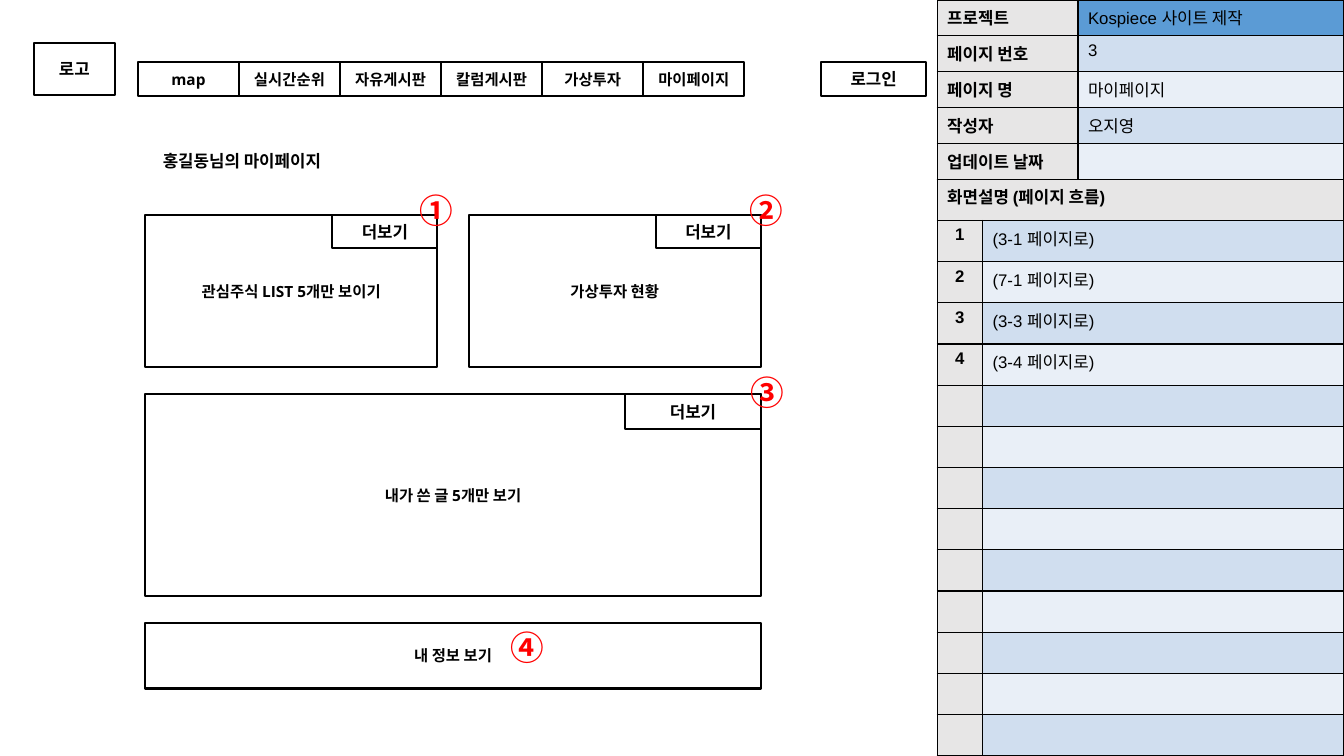
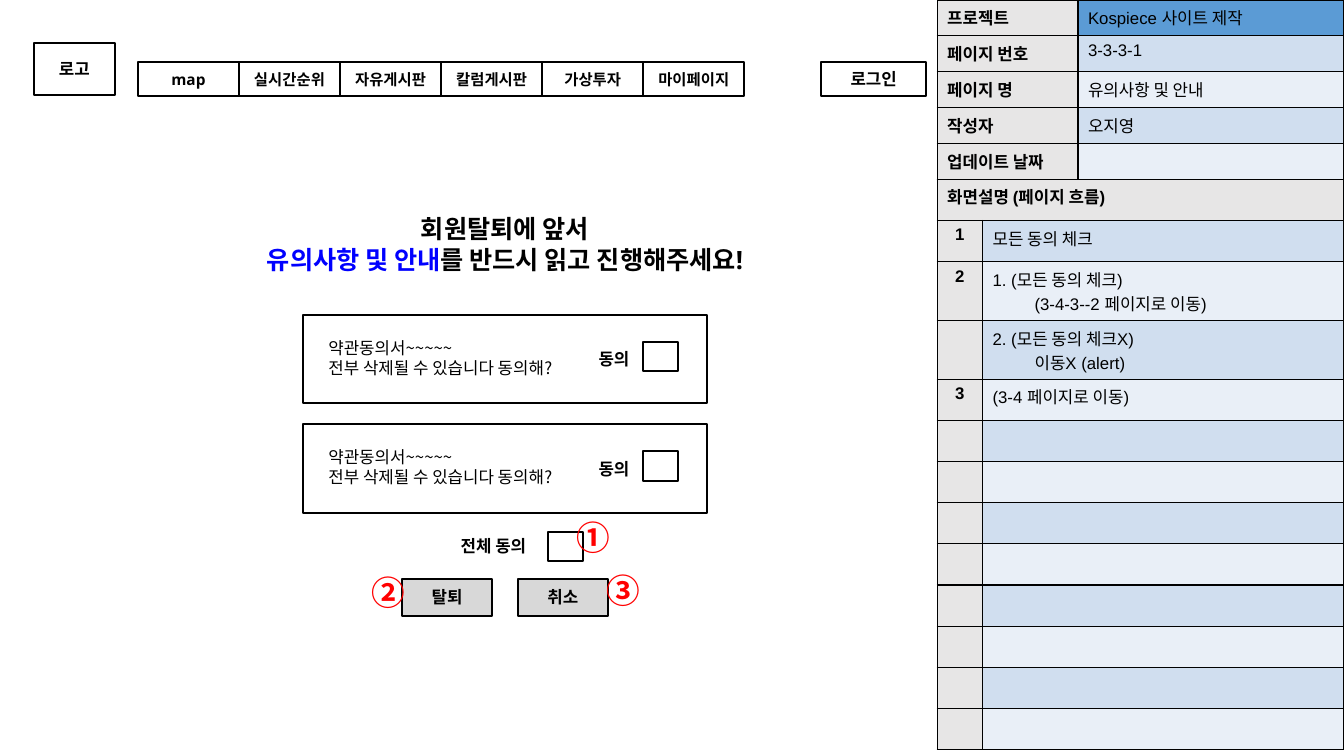
from dataclasses import dataclass
from typing import NamedTuple

from lxml.etree import SubElement
from pptx import Presentation
from pptx.dml.color import RGBColor
from pptx.enum.shapes import MSO_SHAPE as SHAPE
from pptx.enum.text import MSO_ANCHOR as ANCHOR, PP_ALIGN as ALIGN
from pptx.oxml.ns import qn
from pptx.util import Pt


@dataclass(frozen=True)
class Theme:
    black: str = "000000"
    red: str = "FF0000"
    blue: str = "0000FF"
    button: str = "D8D8D8"
    label: str = "E7E6E6"
    accent: str = "5B9BD5"
    bands: tuple[str, str] = ("E9EFF7", "D0DEEF")
    ui_font: str = "Open Sans"
    table_font: str = "Arial"
    korean_font: str = "Noto Sans CJK KR"
    small: float = 11
    body: float = 12
    heading: float = 18
    marker: float = 24


T = Theme()


class Rect(NamedTuple):
    x: float
    y: float
    w: float
    h: float


class Box(NamedTuple):
    rect: Rect
    text: str = ""
    size: float = T.body
    fill: str = ""


class Marker(NamedTuple):
    text: str
    x: float
    y: float


class Step(NamedTuple):
    number: str = ""
    text: str = ""
    detail: str = ""


class Page(NamedTuple):
    number: str
    name: str
    steps: list[Step]
    row_count: int


PANEL_X, PANEL_W = 669.4, 290.6
INFO_ROW, STEP_ROW, DETAIL_ROW = 25.63, 29.42, 42
DETAIL_INDENT = 30


# Text
def style(p, size: float, font: str, bold: bool = False, color: str = T.black,
          align: ALIGN = ALIGN.LEFT, spacing: float = 0) -> None:
    p.alignment = align
    if spacing:
        p.line_spacing = Pt(spacing)
    p.font.size, p.font.name, p.font.bold = Pt(size), font, bold
    p.font.color.rgb = RGBColor.from_string(color)
    default = p._p.pPr.find(qn("a:defRPr"))
    SubElement(default, qn("a:ea"), typeface=T.korean_font)


def set_insets(tf, side: float, top: float) -> None:
    tf.margin_left = tf.margin_right = Pt(side)
    tf.margin_top = tf.margin_bottom = Pt(top)
    tf.word_wrap = True


def add_text(s, rect: Rect, lines: list[str], top_inset: float = 3.6,
             anchor: ANCHOR = ANCHOR.TOP, **look):
    tf = s.shapes.add_textbox(*map(Pt, rect)).text_frame
    set_insets(tf, 7.2, top_inset)
    tf.vertical_anchor = anchor
    for i, line in enumerate(lines):
        p = tf.add_paragraph() if i else tf.paragraphs[0]
        p.text = line
        style(p, **look)
    return tf


def add_caption(s, rect: Rect, lines: list[str], size: float = T.body,
                spacing: float = 0):
    return add_text(s, rect, lines, 7.2, ANCHOR.MIDDLE, size=size,
                    font=T.ui_font, bold=True, align=ALIGN.CENTER,
                    spacing=spacing)


def add_markers(s, markers: list[Marker]) -> None:
    for m in markers:
        add_text(s, Rect(m.x, m.y, 43.2, 36), [m.text], size=T.marker,
                 font=T.korean_font, bold=True, color=T.red, spacing=28.8)


# Wireframe boxes
def add_boxes(s, boxes: list[Box]) -> None:
    for box in boxes:
        sp = s.shapes.add_shape(SHAPE.RECTANGLE, *map(Pt, box.rect))
        sp.shadow.inherit = False
        if box.fill:
            sp.fill.solid()
            sp.fill.fore_color.rgb = RGBColor.from_string(box.fill)
        else:
            sp.fill.background()
        sp.line.color.rgb = RGBColor.from_string(T.black)
        sp.line.width = Pt(1.5)
        if box.text:
            tf = sp.text_frame
            set_insets(tf, 7.2, 7.2)
            tf.vertical_anchor = ANCHOR.MIDDLE
            p = tf.paragraphs[0]
            p.text = box.text
            style(p, box.size, T.ui_font, True, align=ALIGN.CENTER)


def add_site_header(s) -> None:
    menu = ["map", "실시간순위", "자유게시판", "칼럼게시판", "가상투자", "마이페이지"]
    add_boxes(s, [Box(Rect(24, 30.7, 58.2, 37.4), "로고"),
                  Box(Rect(586.6, 44.6, 75, 23.8), "로그인")])
    add_boxes(s, [Box(Rect(98.5 + i * 72.2, 44.6, 72.2, 23.8), name, T.small)
                  for i, name in enumerate(menu)])


# Description tables
def fill_cell(cell, text: str, fill: str, bold: bool = False,
              align: ALIGN = ALIGN.LEFT, detail: str = "") -> None:
    cell.fill.solid()
    cell.fill.fore_color.rgb = RGBColor.from_string(fill)
    tf = cell.text_frame
    tf.text = text
    if detail:
        p = tf.add_paragraph()
        p.text = detail
        p._p.get_or_add_pPr().set("marL", str(Pt(DETAIL_INDENT)))
    for p in tf.paragraphs:
        style(p, T.body, T.table_font, bold, align=align)
    if not text:
        SubElement(tf.paragraphs[0]._p, qn("a:endParaRPr"), sz=str(int(T.body * 100)))
    # Borders precede the fill in the cell properties
    tc_pr = cell._tc.get_or_add_tcPr()
    for i, side in enumerate(("lnL", "lnR", "lnT", "lnB")):
        ln = SubElement(tc_pr, qn(f"a:{side}"), w=str(Pt(1)))
        SubElement(SubElement(ln, qn("a:solidFill")), qn("a:srgbClr"), val=T.black)
        tc_pr.insert(i, ln)


def add_grid(s, y: float, heights: list[float], label_w: float):
    rect = Rect(PANEL_X, y, PANEL_W, sum(heights))
    table = s.shapes.add_table(len(heights), 2, *map(Pt, rect)).table
    table.first_row = table.horz_banding = False
    for column, width in zip(table.columns, (label_w, PANEL_W - label_w)):
        column.width = Pt(width)
    for row, height in zip(table.rows, heights):
        row.height = Pt(height)
    return table


def add_panel(s, page: Page) -> None:
    info = [("프로젝트", "Kospiece 사이트 제작"), ("페이지 번호", page.number),
            ("페이지 명", page.name), ("작성자", "오지영"), ("업데이트 날짜", "")]
    info_heights = [INFO_ROW] * len(info)
    table = add_grid(s, 0, info_heights, 100.6)
    for i, (label, value) in enumerate(info):
        fill_cell(table.cell(i, 0), label, T.label, bold=True)
        fill_cell(table.cell(i, 1), value, T.bands[i % 2] if i else T.accent)

    # Rows with a detail line are taller
    steps = page.steps + [Step()] * (page.row_count - len(page.steps))
    heights = [STEP_ROW] + [DETAIL_ROW if step.detail else STEP_ROW for step in steps]
    table = add_grid(s, sum(info_heights), heights, 32.4)
    fill_cell(table.cell(0, 0), "화면설명 (페이지 흐름)", T.label, bold=True)
    fill_cell(table.cell(0, 1), "", T.label)
    table.cell(0, 0).merge(table.cell(0, 1))
    for i, step in enumerate(steps, start=1):
        fill_cell(table.cell(i, 0), step.number, T.label, True, ALIGN.CENTER)
        fill_cell(table.cell(i, 1), step.text, T.bands[i % 2], detail=step.detail)


def add_page(prs, page: Page):
    s = prs.slides.add_slide(prs.slide_layouts[6])
    add_panel(s, page)
    add_site_header(s)
    return s


# Slides
def build_my_page(prs) -> None:
    targets = ["3-1", "7-1", "3-3", "3-4"]
    steps = [Step(str(i), f"({target} 페이지로)")
             for i, target in enumerate(targets, start=1)]
    s = add_page(prs, Page("3", "마이페이지", steps, 13))
    add_caption(s, Rect(52.6, 101.5, 240.5, 26.6), ["홍길동님의 마이페이지"])
    left, width = 103.7, 439.9
    card_w, more_w = 208.8, 75
    right = left + width
    add_boxes(s, [
        Box(Rect(left, 153.4, card_w, 108.7), "관심주식 LIST 5개만 보이기", T.small),
        Box(Rect(left + card_w - more_w, 153.4, more_w, 23.8), "더보기"),
        Box(Rect(right - card_w, 153.4, card_w, 108.7), "가상투자 현황", T.small),
        Box(Rect(right - more_w, 153.4, more_w, 23.8), "더보기"),
        Box(Rect(left, 281.5, width, 144.2), "내가 쓴 글 5개만 보기", T.small),
        Box(Rect(right - 97.2, 281.5, 97.2, 24.8), "더보기"),
        Box(Rect(left, 445, width, 46.8), "내 정보 보기", T.small),
    ])
    add_markers(s, [Marker("①", 292.8, 131.8), Marker("②", 528.5, 131.8),
                    Marker("③", 528.7, 262.1), Marker("④", 357.4, 444.2)])


def build_notice(prs) -> None:
    steps = [Step("1", "모든 동의 체크"),
             Step("2", "1. (모든 동의 체크)", "(3-4-3--2 페이지로 이동)"),
             Step("", "2. (모든 동의 체크X)", "이동X (alert)"),
             Step("3", "(3-4 페이지로 이동)")]
    s = add_page(prs, Page("3-3-3-1", "유의사항 및 안내", steps, 12))

    # Heading with the key words in blue
    tf = add_caption(s, Rect(154.1, 161, 413.3, 26.6),
                     ["회원탈퇴에 앞서", "유의사항 및 안내"], T.heading, 21.5)
    p = tf.paragraphs[1]
    p.runs[0].font.color.rgb = RGBColor.from_string(T.blue)
    p.add_run().text = "를 반드시 읽고 진행해주세요!"

    # Consent cards
    for y in (224.8, 303.1):
        add_boxes(s, [Box(Rect(216.4, y, 288.7, 63.4)),
                      Box(Rect(459.4, y + 19.3, 25, 21))])
        add_caption(s, Rect(415.4, y + 18.4, 46.4, 26.6), ["동의"])
        add_text(s, Rect(227.5, y + 12.9, 198.7, 36),
                 ["약관동의서~~~~~", "전부 삭제될 수 있습니다 동의해?"],
                 size=T.body, font=T.korean_font, spacing=14.3)

    # Agree to all, then the two buttons
    add_caption(s, Rect(305.3, 376.6, 94.3, 26.6), ["전체 동의"])
    add_boxes(s, [Box(Rect(391.4, 380, 25, 21)),
                  Box(Rect(287.2, 413.4, 64.4, 26.4), "탈퇴", fill=T.button),
                  Box(Rect(369.8, 413.4, 64.4, 26.4), "취소", fill=T.button)])
    add_markers(s, [Marker("①", 404.6, 365.8), Marker("②", 258.5, 405.2),
                    Marker("③", 426.2, 403.7)])


def main() -> None:
    prs = Presentation()
    prs.slide_width, prs.slide_height = Pt(960), Pt(540)
    build_my_page(prs)
    build_notice(prs)
    prs.save("out.pptx")


if __name__ == "__main__":
    main()
